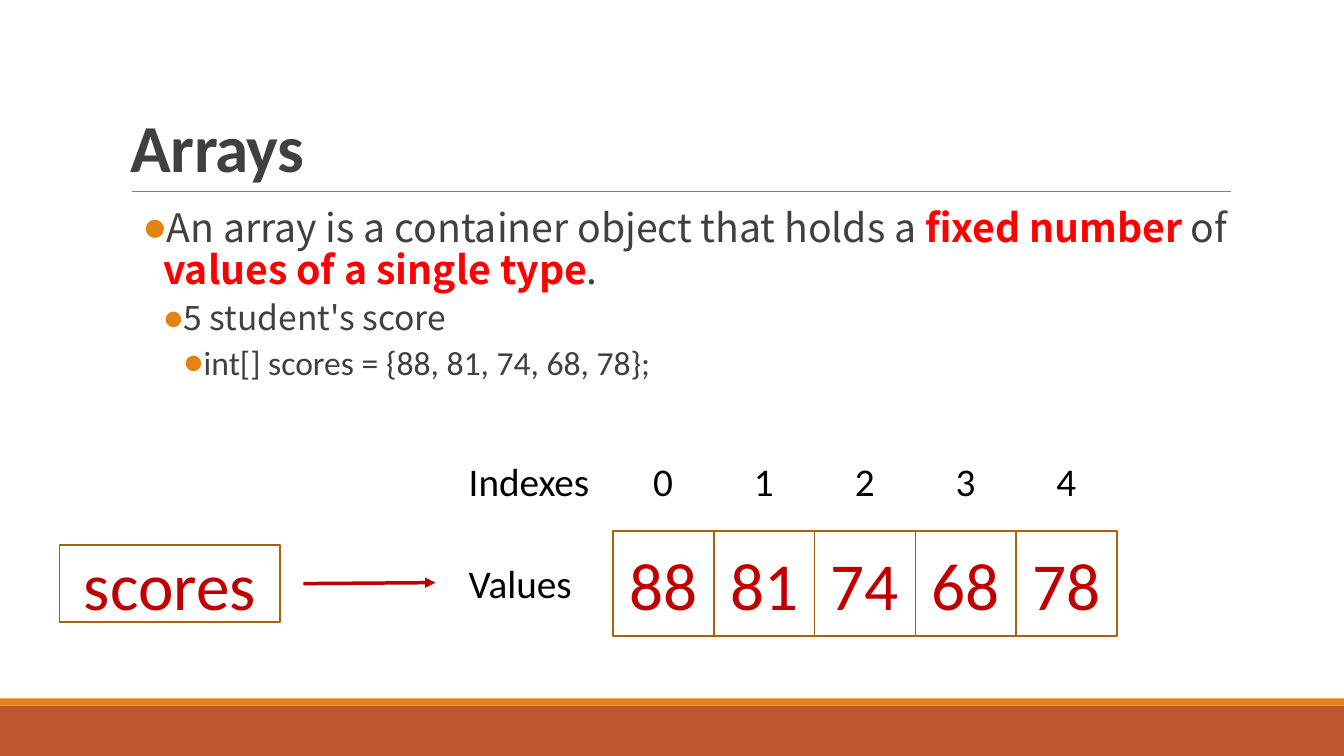
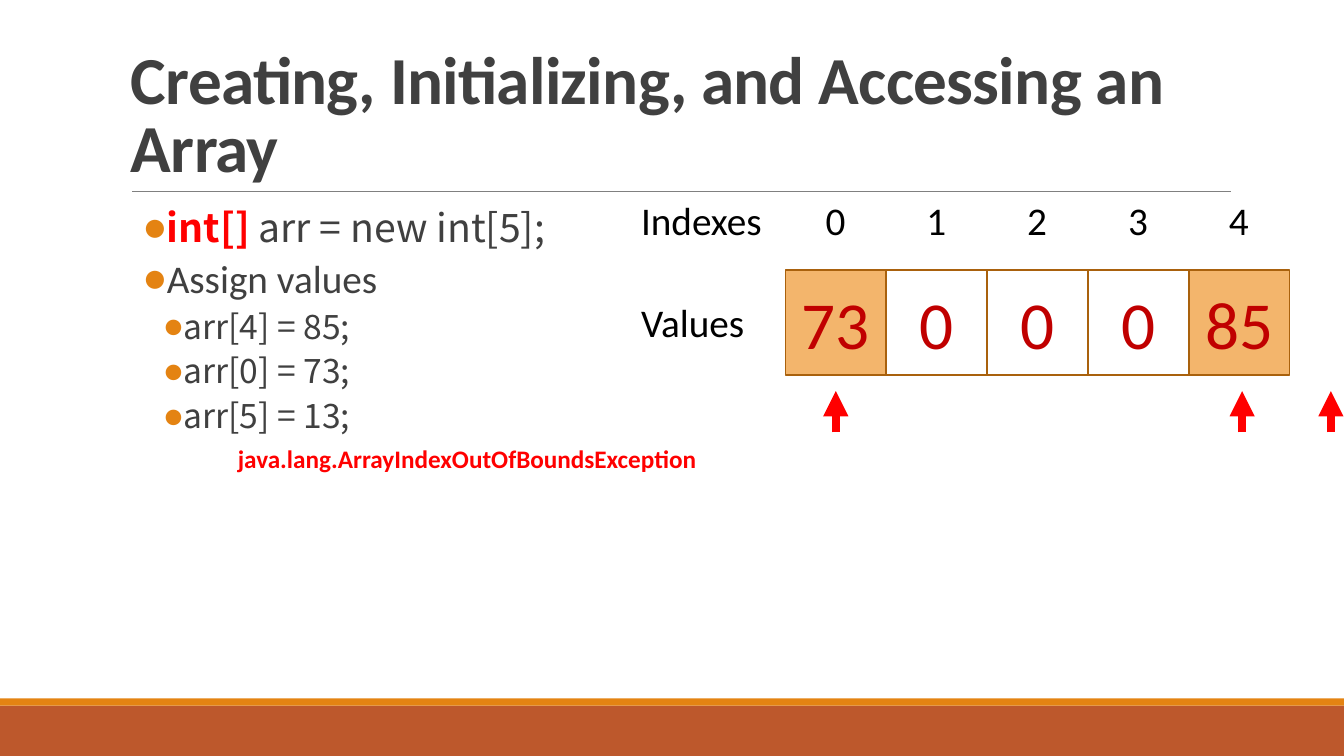
"""Build two slides that introduce arrays."""
from pptx import Presentation
from pptx.dml.color import RGBColor
from pptx.enum import shapes, text
from pptx.oxml.ns import qn
from pptx.util import Inches, Pt
from lxml import etree

COLORS = {
    "band": "BD582C", "accent": "E48312", "rule": "808080", "body": "404040",
    "alert": "FF0000", "value": "C00000", "edge": "A9610D", "assigned": "F3B56C",
    "label": "000000",
}
LATIN, BODY = "Calibri", "Noto Sans CJK SC"
LEVEL_SIZES = {1: 28, 2: 24, 3: 24}

LESSONS = [
    {
        "title": "Arrays",
        "bullets": [
            (1, BODY, [("An array is a container object that holds a ", False),
                       ("fixed number", True), (" of ", False),
                       ("values of a single type", True), (".", False)]),
            (2, BODY, [("5 student's score", False)]),
            (3, LATIN, [("int[] scores = {88, 81, 74, 68, 78};", False)]),
        ],
        "array": {"left": 6.08, "top": 5.27, "values": [88, 81, 74, 68, 78], "assigned": ()},
        "variable": "scores",
        "arrows": [((3.01, 5.79), (4.32, 5.78), "value", 2.5)],
    },
    {
        "title": "Creating, Initializing, and Accessing an Array",
        "bullets": [
            (1, BODY, [("int[] ", True), ("arr = new int[5];", False)]),
            (1, LATIN, [("Assign values", False)]),
            (2, BODY, [("arr[4] = 85;", False)]),
            (2, BODY, [("arr[0] = 73;", False)]),
            (2, BODY, [("arr[5] = 13;", False)]),
        ],
        "array": {"left": 7.79, "top": 2.68, "values": [73, 0, 0, 0, 85], "assigned": (0, 4)},
        "error": "java.lang.ArrayIndexOutOfBoundsException",
        "arrows": [((x, 4.29), (x, 3.88), "alert", 6) for x in (12.32, 8.29, 13.2)],
    },
]


def rgb(name):
    return RGBColor.from_string(COLORS[name])


def add_run(paragraph, words, size, color, font=LATIN, bold=False):
    run = paragraph.add_run()
    run.text = words
    run.font.size, run.font.name, run.font.bold = Pt(size), font, bold
    run.font.color.rgb = rgb(color)
    return run


def add_text(slide, words, at, size=28, color="label", bold=False, wrap=False,
             anchor=text.MSO_ANCHOR.TOP, line_spacing=None, tracking=None):
    frame = slide.shapes.add_textbox(*map(Inches, at)).text_frame
    frame.word_wrap, frame.vertical_anchor = wrap, anchor
    paragraph = frame.paragraphs[0]
    if line_spacing:
        paragraph.line_spacing = line_spacing
    run = add_run(paragraph, words, size, color, bold=bold)
    if tracking:
        run.font._element.set("spc", str(tracking))


def add_box(slide, at, fill=None, edge=None, words=""):
    box = slide.shapes.add_shape(shapes.MSO_SHAPE.RECTANGLE, *map(Inches, at))
    box.shadow.inherit = False
    if fill:
        box.fill.solid()
        box.fill.fore_color.rgb = rgb(fill)
    else:
        box.fill.background()
    if edge:
        box.line.color.rgb, box.line.width = rgb(edge), Pt(1.25)
    else:
        box.line.fill.background()
    if words:
        box.text_frame.vertical_anchor = text.MSO_ANCHOR.MIDDLE
        paragraph = box.text_frame.paragraphs[0]
        paragraph.alignment = text.PP_ALIGN.CENTER
        add_run(paragraph, words, 48, "value")


def add_line(slide, start, end, color, width, arrow=False):
    line = slide.shapes.add_connector(shapes.MSO_CONNECTOR.STRAIGHT,
                                      *map(Inches, (*start, *end)))
    line.line.color.rgb, line.line.width = rgb(color), Pt(width)
    if arrow:
        etree.SubElement(line.line._get_or_add_ln(), qn("a:tailEnd"), type="triangle")
    etree.SubElement(line._element.spPr, qn("a:effectLst"))


def add_bullets(slide, bullets):
    frame = slide.shapes.add_textbox(*map(Inches, (1.2, 2.02, 11, 4.4))).text_frame
    frame.word_wrap = True
    frame.margin_left = frame.margin_right = 0
    for number, (level, font, runs) in enumerate(bullets):
        paragraph = frame.add_paragraph() if number else frame.paragraphs[0]
        paragraph.level = level
        paragraph.line_spacing = 0.9
        paragraph.space_before, paragraph.space_after = Pt(2), Pt(4)
        props = paragraph._p.get_or_add_pPr()
        props.set("marL", str(Inches(0.22 + 0.2 * level)))
        props.set("indent", str(Inches(-0.2)))
        bullet_color = etree.SubElement(props, qn("a:buClr"))
        etree.SubElement(bullet_color, qn("a:srgbClr"), val=COLORS["accent"])
        etree.SubElement(props, qn("a:buFont"), typeface=LATIN)
        etree.SubElement(props, qn("a:buChar"), char="●")
        for words, key_term in runs:
            add_run(paragraph, words, LEVEL_SIZES[level],
                    "alert" if key_term else "body", font, key_term)


def add_array(slide, left, top, values, assigned):
    for label, offset, width in (("Values", 0.23, 1.24), ("Indexes", -0.78, 1.41)):
        add_text(slide, label, (left - 1.53, top + offset, width, 0.57))
    for index, value in enumerate(values):
        add_box(slide, (left + index, top, 1, 1.04), edge="edge", words=str(value),
                fill="assigned" if index in assigned else None)
        add_text(slide, str(index), (left + index + 0.3, top - 0.78, 0.4, 0.57))


def add_frame(slide, title):
    add_box(slide, (0, 7, 13.33, 0.5), "band")
    add_box(slide, (0, 6.93, 13.33, 0.07), "accent")
    add_line(slide, (1.31, 1.9), (12.21, 1.9), "rule", 0.5)
    add_text(slide, title, (1.2, 0.31, 11, 1.59), size=48, color="body", bold=True, wrap=True,
             anchor=text.MSO_ANCHOR.BOTTOM, line_spacing=0.85, tracking=-50)


def main():
    deck = Presentation()
    deck.slide_width, deck.slide_height = Inches(13.33), Inches(7.5)
    for lesson in LESSONS:
        slide = deck.slides.add_slide(deck.slide_layouts[6])
        add_frame(slide, lesson["title"])
        add_bullets(slide, lesson["bullets"])
        add_array(slide, **lesson["array"])
        if "variable" in lesson:
            add_box(slide, (0.59, 5.41, 2.19, 0.76), edge="edge", words=lesson["variable"])
        if "error" in lesson:
            add_text(slide, lesson["error"], (2.26, 4.35, 4.85, 0.4), size=18,
                     color="alert", bold=True)
        for start, end, color, width in lesson["arrows"]:
            add_line(slide, start, end, color, width, arrow=True)
    deck.save("out.pptx")


if __name__ == "__main__":
    main()
